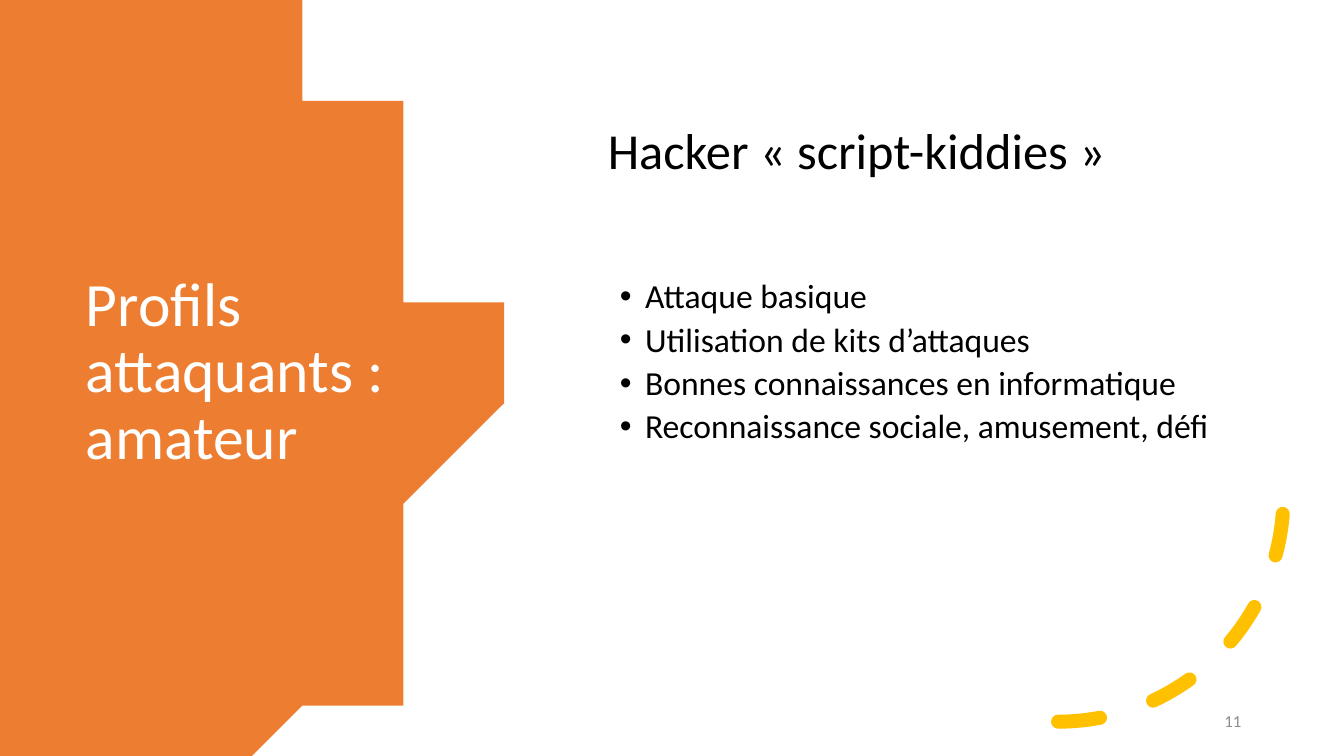
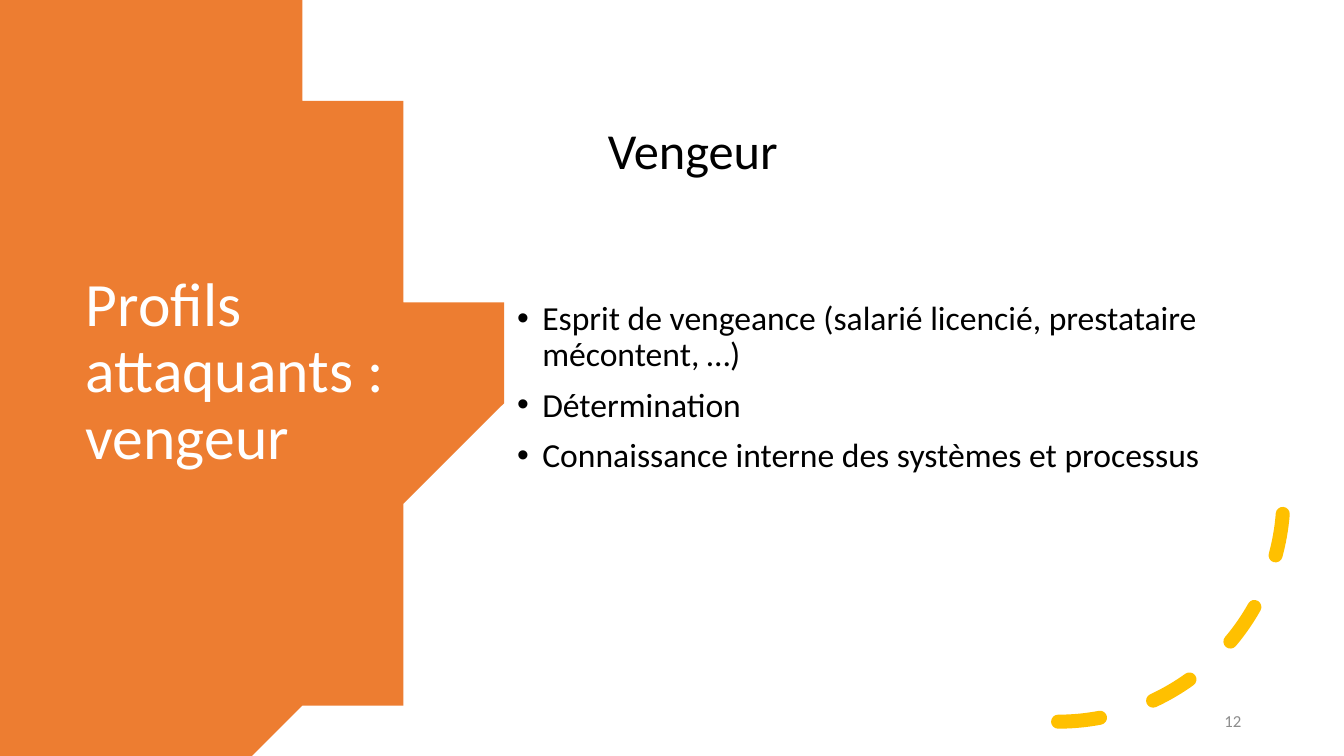
from math import asin, cos, pi, sin

from pptx import Presentation
from pptx.dml.color import RGBColor
from pptx.enum.dml import MSO_LINE
from pptx.enum.shapes import MSO_SHAPE
from pptx.enum.text import MSO_ANCHOR, MSO_AUTO_SIZE, PP_ALIGN
from pptx.oxml.ns import qn
from pptx.util import Inches, Pt

COLORS = {"disc": "ED7D31", "arc": "FFC000", "title": "FFFFFF", "text": "000000", "number": "8C8C8C"}
FONT = "Calibri"
SLIDE_WIDTH, SLIDE_HEIGHT = 13.33, 7.5
TITLE_ONLY = 5

# Boxes: left, top, width, height in inches
TITLE_BOX = (0.75, 1.26, 3.5, 4.88)
HEADING_BOX = (5.93, 1.13, 7.18, 0.71)
ARC_BOX = (8.26, 2.69, 4.47, 4.47)
NUMBER_BOX = (10.43, 6.95, 1.98, 0.4)

PROFILES = [
    {
        "title": "Profils attaquants : amateur",
        "heading": "Hacker « script-kiddies »",
        "bullets": [
            "Attaque basique",
            "Utilisation de kits d’attaques",
            "Bonnes connaissances en informatique",
            "Reconnaissance sociale, amusement, défi",
        ],
        "box": (5.55, 1.85, 7.55, 3.5),
        "indent": 0.75,
        "gap": 5,
        "number": 11,
    },
    {
        "title": "Profils attaquants : vengeur",
        "heading": "Vengeur",
        "bullets": [
            "Esprit de vengeance (salarié licencié, prestataire mécontent, …)",
            "Détermination",
            "Connaissance interne des systèmes et processus",
        ],
        "box": (5.03, 2.1, 7.55, 3.5),
        "indent": 0.25,
        "gap": 10,
        "number": 12,
    },
]


def color(name):
    return RGBColor.from_string(COLORS[name])


def inches(box):
    return [Inches(value) for value in box]


def style(paragraph, size, color_name):
    paragraph.font.name = FONT
    paragraph.font.size = Pt(size)
    paragraph.font.color.rgb = color(color_name)


def add_text(slide, box, text, size, color_name, anchor=MSO_ANCHOR.TOP):
    frame = slide.shapes.add_textbox(*inches(box)).text_frame
    frame.word_wrap = True
    frame.vertical_anchor = anchor
    paragraph = frame.paragraphs[0]
    paragraph.text = text
    style(paragraph, size, color_name)
    return paragraph


def add_disc(slide, right=4.56, radius=4.41, steps=80):
    """Circle segment bleeding off the left, top and bottom edges."""
    middle = SLIDE_HEIGHT / 2
    reach = asin(middle / radius)
    angles = [reach * (2 * step / steps - 1) for step in range(steps + 1)]
    rim = [(right - radius + radius * cos(angle), middle + radius * sin(angle)) for angle in angles]
    builder = slide.shapes.build_freeform(0, 0, scale=Inches(1))
    builder.add_line_segments(rim + [(0, SLIDE_HEIGHT)], close=True)
    disc = builder.convert_to_shape()
    disc.shadow.inherit = False
    disc.fill.solid()
    disc.fill.fore_color.rgb = color("disc")
    disc.line.fill.background()
    return disc


def add_dashed_arc(slide, box):
    arc = slide.shapes.add_shape(MSO_SHAPE.ARC, *inches(box))
    arc.shadow.inherit = False
    arc.fill.background()
    arc.line.color.rgb = color("arc")
    arc.line.width = Pt(10)
    arc.line.dash_style = MSO_LINE.DASH
    properties = arc.element.spPr
    properties.find(qn("a:ln")).set("cap", "rnd")
    properties.find(qn("a:xfrm")).set("flipV", "1")


def set_title(slide, box, text, disc):
    title = slide.shapes.title
    title.left, title.top, title.width, title.height = inches(box)
    disc.element.addnext(title.element)  # in front of the disc
    frame = title.text_frame
    frame.word_wrap = True
    frame.auto_size = MSO_AUTO_SIZE.NONE
    frame.vertical_anchor = MSO_ANCHOR.MIDDLE
    paragraph = frame.paragraphs[0]
    paragraph.text = text
    paragraph.alignment = PP_ALIGN.LEFT
    paragraph.line_spacing = 0.9
    style(paragraph, 44, "title")


def add_bullets(slide, box, items, indent, gap):
    frame = slide.shapes.add_textbox(*inches(box)).text_frame
    frame.word_wrap = True
    frame.vertical_anchor = MSO_ANCHOR.MIDDLE
    for index, item in enumerate(items):
        paragraph = frame.add_paragraph() if index else frame.paragraphs[0]
        paragraph.text = item
        paragraph.line_spacing = 0.9
        paragraph.space_before = Pt(gap if index else 0)
        properties = paragraph._p.get_or_add_pPr()
        properties.set("marL", str(Inches(indent)))
        properties.set("indent", str(-Inches(0.25)))
        bullet_font = properties.makeelement(qn("a:buFont"), {"typeface": "Arial"})
        bullet = properties.makeelement(qn("a:buChar"), {"char": "•"})
        properties.extend([bullet_font, bullet])
        style(paragraph, 24, "text")


def add_profile_slide(presentation, profile):
    slide = presentation.slides.add_slide(presentation.slide_layouts[TITLE_ONLY])
    # Shared decoration and title
    disc = add_disc(slide)
    set_title(slide, TITLE_BOX, profile["title"], disc)
    add_dashed_arc(slide, ARC_BOX)
    # Profile description
    add_bullets(slide, profile["box"], profile["bullets"], profile["indent"], profile["gap"])
    add_text(slide, HEADING_BOX, profile["heading"], 36, "text")
    # Slide number
    number = add_text(slide, NUMBER_BOX, str(profile["number"]), 12, "number", MSO_ANCHOR.MIDDLE)
    number.alignment = PP_ALIGN.RIGHT


def main():
    presentation = Presentation()
    presentation.slide_width = Inches(SLIDE_WIDTH)
    presentation.slide_height = Inches(SLIDE_HEIGHT)
    for profile in PROFILES:
        add_profile_slide(presentation, profile)
    presentation.save("out.pptx")


if __name__ == "__main__":
    main()
